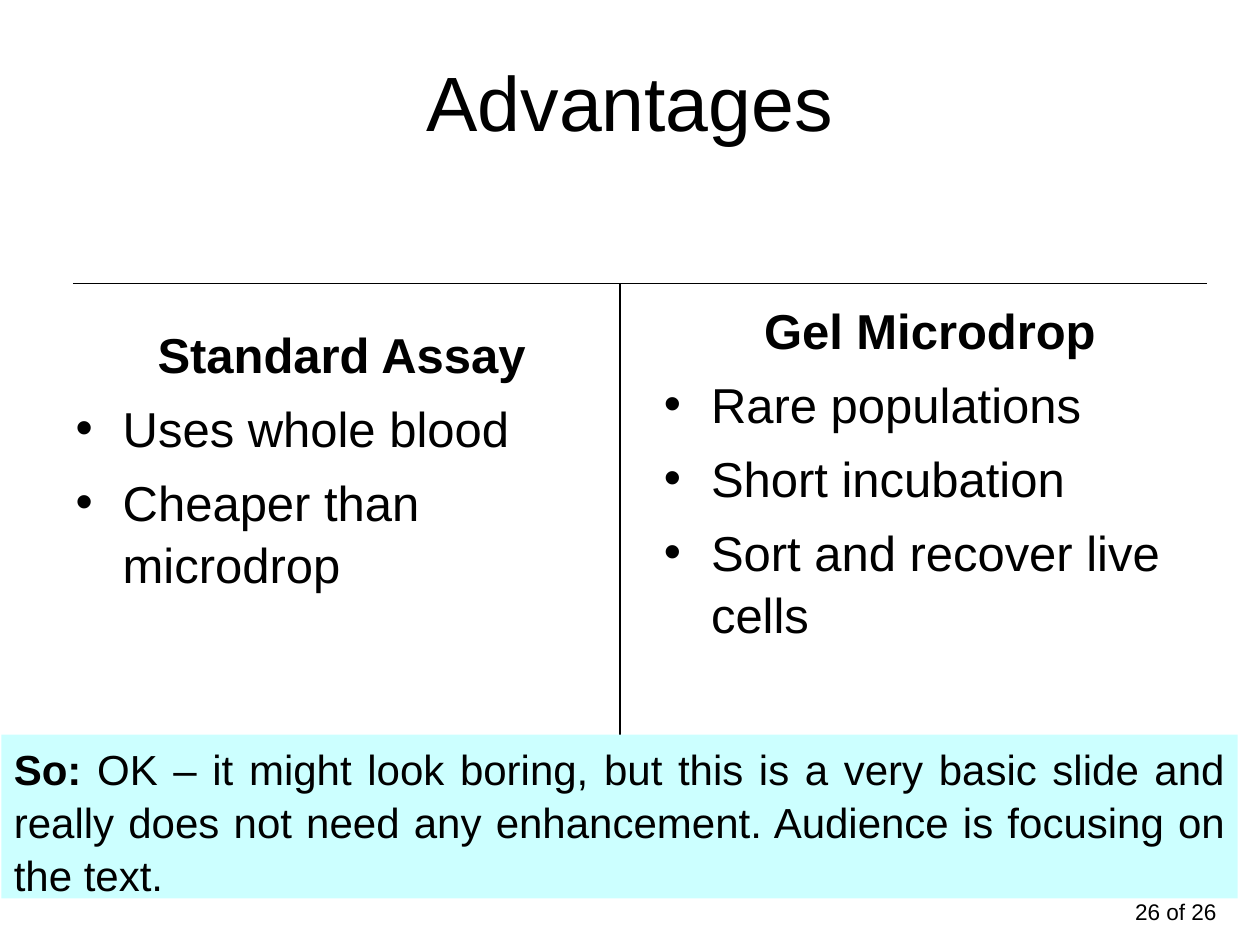
from dataclasses import dataclass

from lxml import etree
from pptx import Presentation
from pptx import util as u
from pptx.dml.color import RGBColor
from pptx.enum import shapes, text
from pptx.oxml import ns

COLORS = {"ink": "000000", "paper": "FFFFFF", "note": "CCFFFF"}
FONT = "Arial"
LINE_SPACING = 1.05
INDENT = u.Cm(0.95)
DIVIDER_X, RULE_Y, NOTE_Y = 12.5, 5.72, 14.81


@dataclass
class Box:
    """Position and size in centimetres."""
    left: float
    top: float
    width: float
    height: float

    def place(self, shape) -> None:
        shape.left, shape.top, shape.width, shape.height = self.lengths()

    def lengths(self) -> list:
        return [u.Cm(v) for v in (self.left, self.top, self.width, self.height)]


@dataclass
class Column:
    box: Box
    heading: str
    points: list[str]


@dataclass
class Rule:
    start: tuple[float, float]
    end: tuple[float, float]


COLUMNS = [
    Column(Box(1.27, 6.35, 11.23, 10.67), "Standard Assay",
           ["Uses whole blood", "Cheaper than microdrop"]),
    Column(Box(13.13, 5.87, 11.23, 10.24), "Gel Microdrop",
           ["Rare populations", "Short incubation", "Sort and recover live cells"]),
]
RULES = [
    Rule((DIVIDER_X, NOTE_Y), (DIVIDER_X, RULE_Y)),
    Rule((1.47, RULE_Y), (24.33, RULE_Y)),
]


def color(name: str) -> RGBColor:
    return RGBColor.from_string(COLORS[name])


def format_run(run, size: float, bold: bool = False) -> None:
    run.font.name = FONT
    run.font.size = u.Pt(size)
    run.font.bold = bold
    run.font.color.rgb = color("ink")


def set_bullet(paragraph, bulleted: bool) -> None:
    properties = paragraph._p.get_or_add_pPr()
    properties.set("marL", str(INDENT))
    properties.set("indent", str(-INDENT))
    if bulleted:
        etree.SubElement(properties, ns.qn("a:buChar")).set("char", "•")
    else:
        etree.SubElement(properties, ns.qn("a:buNone"))


def fill_column(placeholder, column: Column) -> None:
    column.box.place(placeholder)
    frame = placeholder.text_frame
    frame.text = "\n".join([column.heading, *column.points])
    frame.auto_size = text.MSO_AUTO_SIZE.NONE
    for index, paragraph in enumerate(frame.paragraphs):
        is_heading = index == 0
        set_bullet(paragraph, not is_heading)
        paragraph.alignment = text.PP_ALIGN.CENTER if is_heading else text.PP_ALIGN.LEFT
        paragraph.space_before = u.Pt(0 if is_heading else 7)
        paragraph.line_spacing = LINE_SPACING
        format_run(paragraph.runs[0], 28, bold=is_heading)


def draw_rule(slide, rule: Rule) -> None:
    ends = [u.Cm(v) for v in (*rule.start, *rule.end)]
    connector = slide.shapes.add_connector(shapes.MSO_CONNECTOR.STRAIGHT, *ends)
    connector.line.color.rgb = color("ink")
    connector.line.width = u.Pt(0.75)
    etree.SubElement(connector._element.spPr, ns.qn("a:effectLst"))


def draw_note(slide, box: Box, lead: str, remark: str) -> None:
    shape = slide.shapes.add_shape(shapes.MSO_SHAPE.RECTANGLE, *box.lengths())
    shape.shadow.inherit = False
    shape.fill.solid()
    shape.fill.fore_color.rgb = color("note")
    shape.line.fill.background()
    frame = shape.text_frame
    frame.word_wrap = True
    frame.vertical_anchor = text.MSO_ANCHOR.TOP
    paragraph = frame.paragraphs[0]
    paragraph.text = lead
    paragraph.add_run().text = remark
    paragraph.alignment = text.PP_ALIGN.JUSTIFY
    paragraph.line_spacing = LINE_SPACING
    for run, bold in zip(paragraph.runs, (True, False)):
        format_run(run, 24, bold)


def draw_page_number(slide, box: Box, label: str) -> None:
    frame = slide.shapes.add_textbox(*box.lengths()).text_frame
    frame.word_wrap = True
    frame.text = label
    paragraph = frame.paragraphs[0]
    paragraph.alignment = text.PP_ALIGN.RIGHT
    format_run(paragraph.runs[0], 12.9)


def main() -> None:
    presentation = Presentation()
    presentation.slide_width, presentation.slide_height = u.Cm(25.4), u.Cm(19.05)
    slide = presentation.slides.add_slide(
        presentation.slide_layouts.get_by_name("Two Content"))
    slide.background.fill.solid()
    slide.background.fill.fore_color.rgb = color("paper")

    # Title
    title = slide.shapes.title
    Box(1.27, 0.43, 22.86, 3.18).place(title)
    title.text_frame.text = "Advantages"
    title.text_frame.vertical_anchor = text.MSO_ANCHOR.MIDDLE
    title.text_frame.paragraphs[0].alignment = text.PP_ALIGN.CENTER
    format_run(title.text_frame.paragraphs[0].runs[0], 44)

    # Compared columns and the lines between them
    for index, column in enumerate(COLUMNS, start=1):
        fill_column(slide.placeholders[index], column)
    for rule in RULES:
        draw_rule(slide, rule)

    # Closing remark and page number
    draw_note(slide, Box(0.03, NOTE_Y, 24.92, 3.3), "So:",
              " OK – it might look boring, but this is a very basic slide and "
              "really does not need any enhancement. Audience is focusing on the text.")
    draw_page_number(slide, Box(18.85, 17.98, 5.92, 0.84), "26 of 26")

    presentation.save("out.pptx")


if __name__ == "__main__":
    main()
